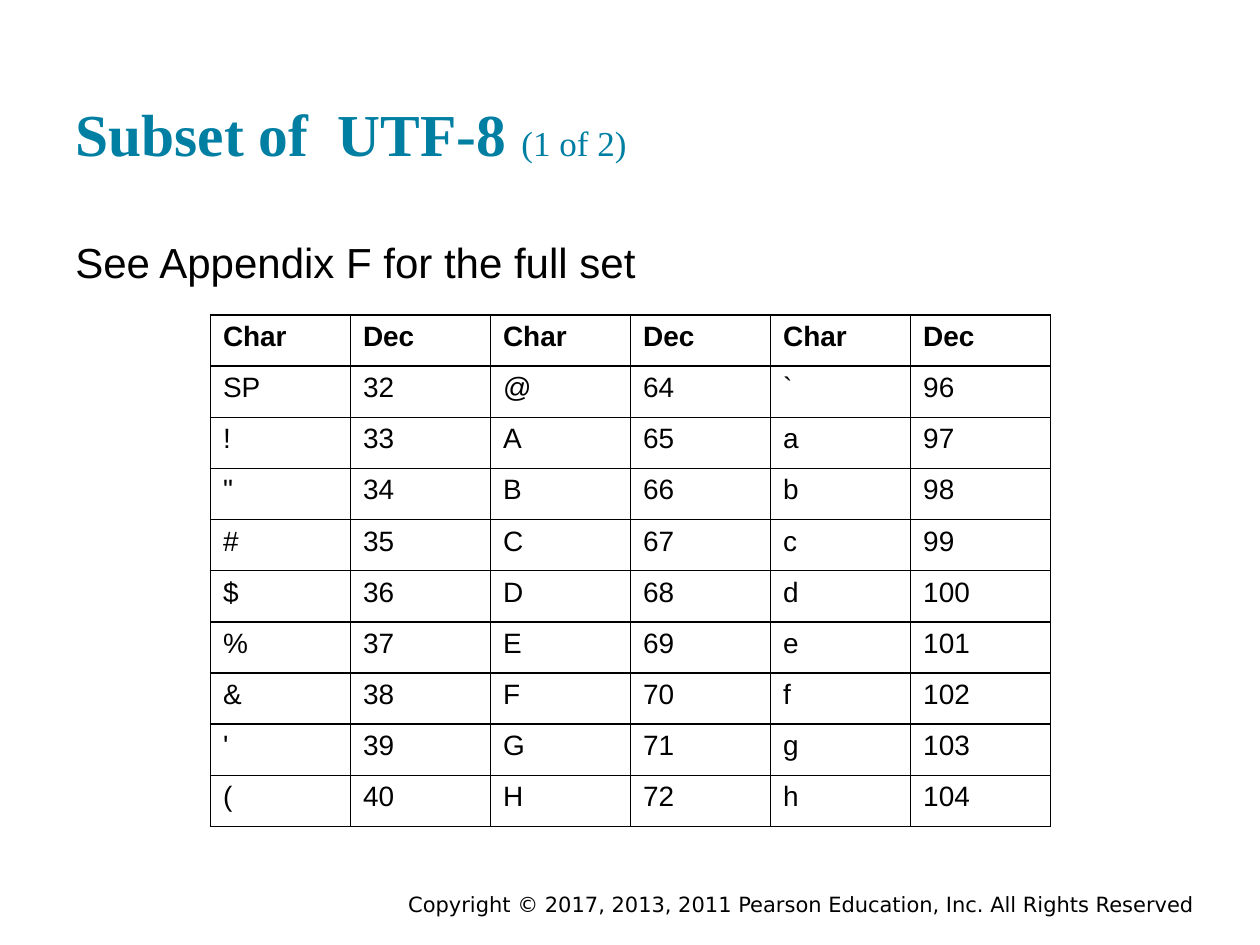
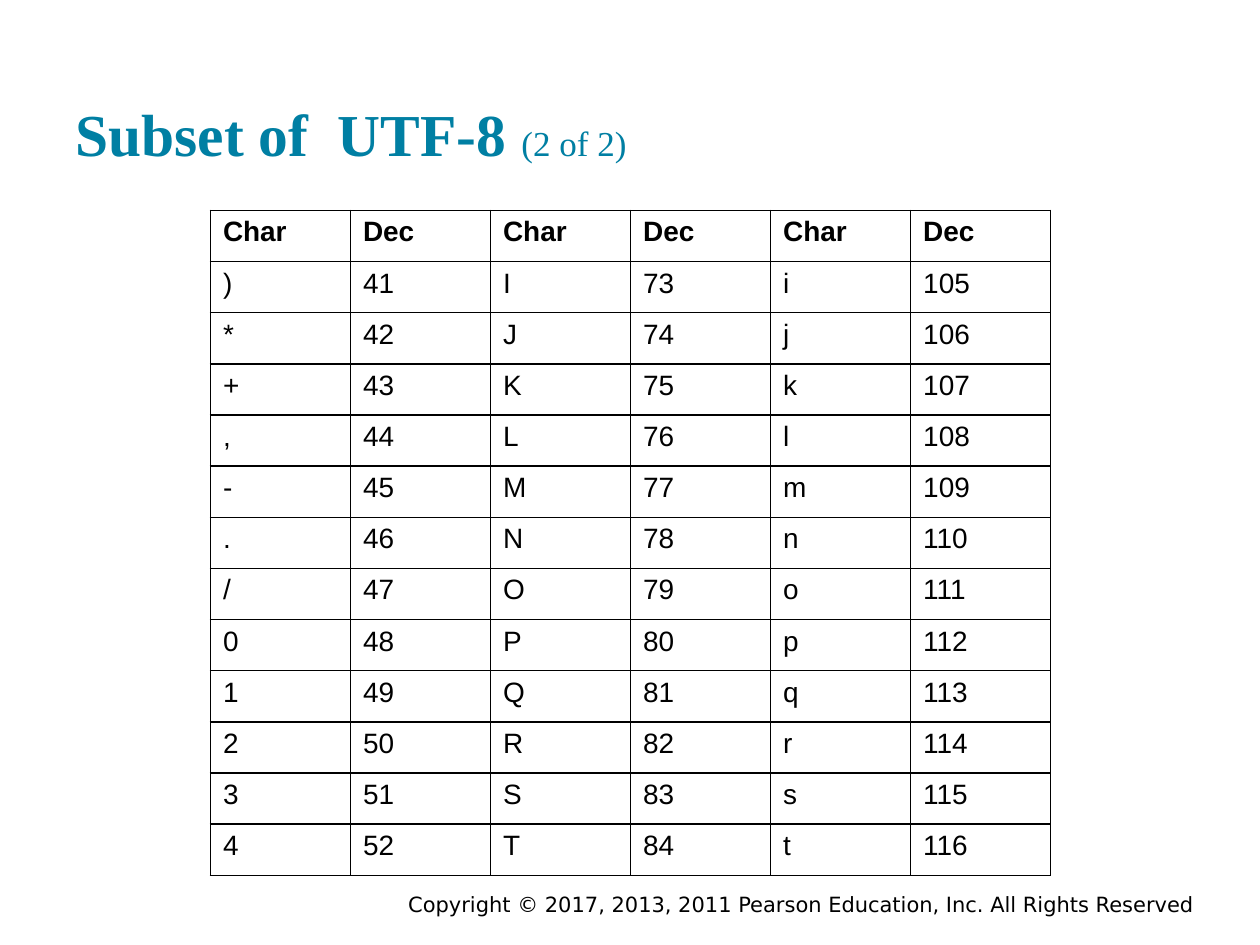
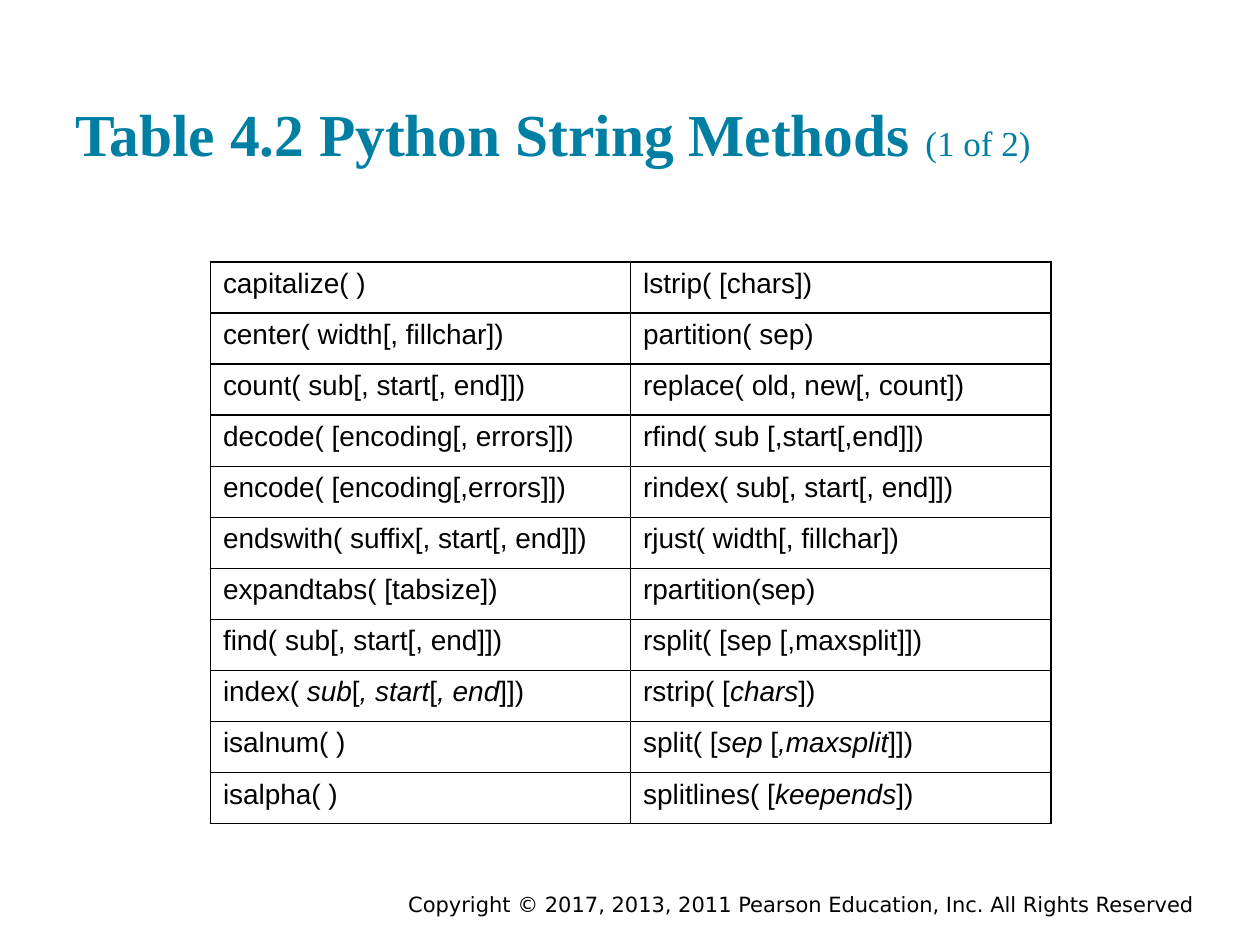
from lxml import etree
from pptx import Presentation
from pptx.dml.color import RGBColor
from pptx.enum.text import MSO_ANCHOR, MSO_AUTO_SIZE, PP_ALIGN
from pptx.oxml.ns import qn
from pptx.util import Inches, Pt

TEAL = RGBColor(0x00, 0x7F, 0xA3)
BLACK = RGBColor(0x00, 0x00, 0x00)
LEFT, RIGHT = PP_ALIGN.LEFT, PP_ALIGN.RIGHT
TOP, BOTTOM = MSO_ANCHOR.TOP, MSO_ANCHOR.BOTTOM
NO_AUTOFIT = MSO_AUTO_SIZE.NONE

TITLE_FONT = {"name": "Times New Roman", "size": Pt(34), "bold": True}
COUNT_FONT = {"name": "Times New Roman", "size": Pt(20), "bold": False}
NOTE_FONT = {"name": "Arial", "size": Pt(24)}
CELL_FONT = {"name": "Arial", "size": Pt(16)}
FOOTER_FONT = {"name": "DejaVu Sans", "size": Pt(12)}

TITLE_BOX = (0.5, 0.24, 9, 1.2)
NOTE_BOX = (0.5, 1.75, 9, 0.58)
FOOTER_BOX = (1.75, 7.03, 7.83, 0.22)
COPYRIGHT = "Copyright © 2017, 2013, 2011 Pearson Education, Inc. All Rights Reserved"

CODE_HEADER = ["Char", "Dec"] * 3
CODE_COLUMN_STARTS = (0, 32, 64)
STRING_METHODS = [
    ("capitalize( )", "lstrip( [chars])"),
    ("center( width[, fillchar])", "partition( sep)"),
    ("count( sub[, start[, end]])", "replace( old, new[, count])"),
    ("decode( [encoding[, errors]])", "rfind( sub [,start[,end]])"),
    ("encode( [encoding[,errors]])", "rindex( sub[, start[, end]])"),
    ("endswith( suffix[, start[, end]])", "rjust( width[, fillchar])"),
    ("expandtabs( [tabsize])", "rpartition(sep)"),
    ("find( sub[, start[, end]])", "rsplit( [sep [,maxsplit]])"),
    ("index( _sub_[_, start_[_, end_]])", "rstrip( [_chars_])"),
    ("isalnum( )", "split( [_sep _[_,maxsplit_]])"),
    ("isalpha( )", "splitlines( [_keepends_])"),
]


def apply(target, values):
    for attribute, value in values.items():
        setattr(target, attribute, value)


def add_run(paragraph, text, font, color=BLACK):
    run = paragraph.add_run()
    run.text = text
    apply(run.font, font)
    run.font.color.rgb = color


def place(shape, box):
    sides = ("left", "top", "width", "height")
    apply(shape, dict(zip(sides, map(Inches, box))))


def format_frame(frame, anchor, inset_top, inset_bottom):
    apply(frame, {
        "word_wrap": True, "auto_size": NO_AUTOFIT, "vertical_anchor": anchor,
        "margin_left": Inches(0.1), "margin_right": Inches(0.1),
        "margin_top": Inches(inset_top), "margin_bottom": Inches(inset_bottom),
    })


def add_title(slide, box, heading, count):
    title = slide.shapes.title
    place(title, box)
    format_frame(title.text_frame, BOTTOM, 0.1, 0.1)
    line = title.text_frame.paragraphs[0]
    line.alignment = LEFT
    add_run(line, f"{heading} ", TITLE_FONT, TEAL)
    add_run(line, f"({count})", COUNT_FONT, TEAL)


def add_line_of_text(slide, box, text, font, alignment, inset_top, inset_bottom):
    frame = slide.shapes.add_textbox(*map(Inches, box)).text_frame
    format_frame(frame, TOP, inset_top, inset_bottom)
    line = frame.paragraphs[0]
    line.alignment = alignment
    add_run(line, text, font)


def border_cell(cell):
    properties = cell._tc.get_or_add_tcPr()
    for side in ("a:lnL", "a:lnR", "a:lnT", "a:lnB"):
        edge = etree.SubElement(properties, qn(side), w=str(Pt(1)))
        fill = etree.SubElement(edge, qn("a:solidFill"))
        etree.SubElement(fill, qn("a:srgbClr"), val=str(BLACK))


def add_grid(slide, box, rows, has_header):
    left, top, width, height = map(Inches, box)
    column_count = len(rows[0])
    grid = slide.shapes.add_table(len(rows), column_count, left, top, width, height).table
    apply(grid, {"first_row": has_header, "horz_banding": False})
    for column in grid.columns:
        column.width = width // column_count
    for row_index, texts in enumerate(rows):
        grid.rows[row_index].height = height // len(rows)
        for column_index, text in enumerate(texts):
            cell = grid.cell(row_index, column_index)
            border_cell(cell)
            cell.fill.background()
            line = cell.text_frame.paragraphs[0]
            bold = has_header and row_index == 0
            for part_index, part in enumerate(text.split("_")):
                italic = part_index % 2 == 1
                add_run(line, part, {**CELL_FONT, "bold": bold, "italic": italic})


def code_rows(first, last):
    rows = [CODE_HEADER]
    for code in range(first, last + 1):
        row = []
        for start in CODE_COLUMN_STARTS:
            value = code + start
            row += ["SP" if value == 32 else chr(value), str(value)]
        rows.append(row)
    return rows


def add_table_slide(deck, heading, count, table_box, rows, has_header=True, note=None):
    slide = deck.slides.add_slide(deck.slide_layouts[5])
    add_line_of_text(slide, FOOTER_BOX, COPYRIGHT, FOOTER_FONT, RIGHT, 0.05, 0.05)
    add_title(slide, TITLE_BOX, heading, count)
    if note:
        add_line_of_text(slide, NOTE_BOX, note, NOTE_FONT, LEFT, 0.13, 0.1)
    add_grid(slide, table_box, rows, has_header)


def main():
    deck = Presentation()
    deck.slide_width, deck.slide_height = Inches(10), Inches(7.5)
    add_table_slide(deck, "Subset of  UTF-8", "1 of 2", (1.67, 2.5, 6.67, 4.06),
                    code_rows(32, 40), note="See Appendix F for the full set")
    add_table_slide(deck, "Subset of  UTF-8", "2 of 2", (1.67, 1.67, 6.67, 5.28),
                    code_rows(41, 52))
    add_table_slide(deck, "Table 4.2 Python String Methods", "1 of 2",
                    (1.67, 2.08, 6.67, 4.46), STRING_METHODS, has_header=False)
    deck.save("out.pptx")


if __name__ == "__main__":
    main()
